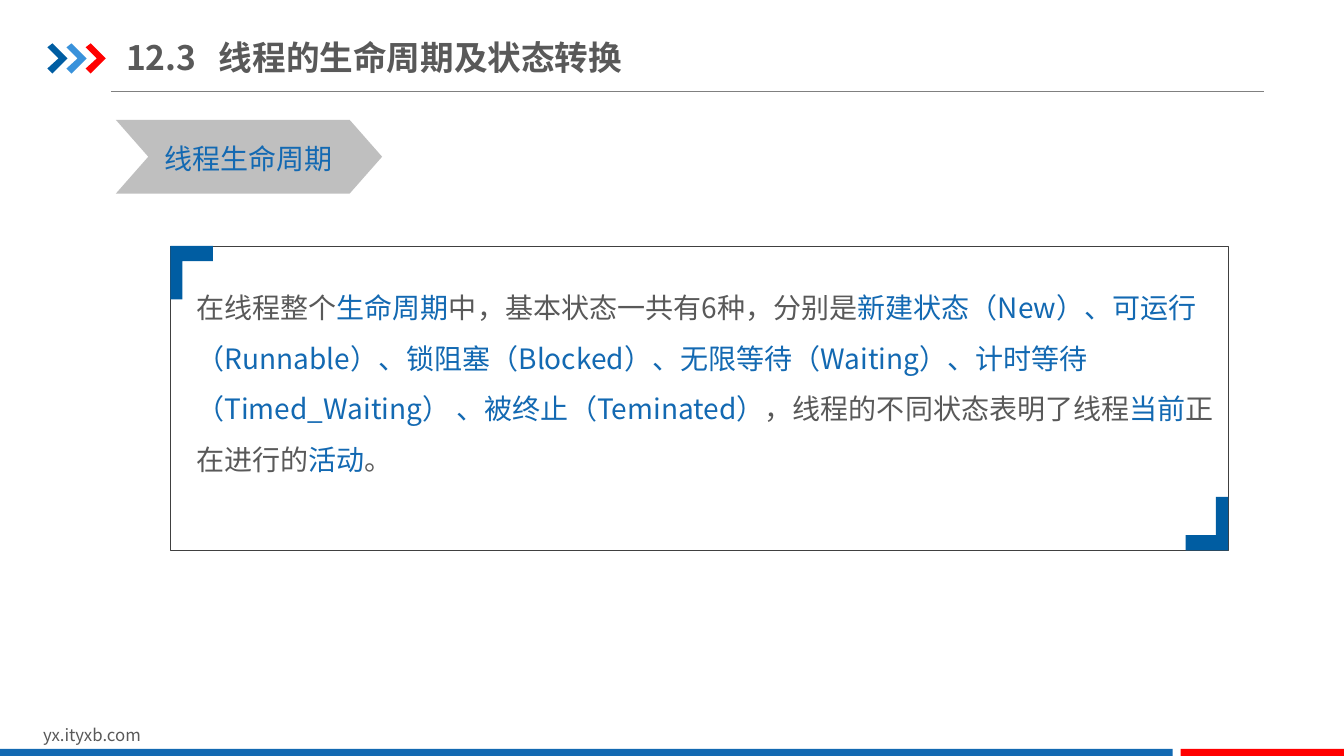
from dataclasses import dataclass

from lxml import etree
from pptx import Presentation
from pptx.dml.color import RGBColor
from pptx.enum.shapes import MSO_CONNECTOR, MSO_SHAPE
from pptx.enum.text import MSO_ANCHOR, MSO_AUTO_SIZE, PP_ALIGN
from pptx.oxml.ns import qn
from pptx.util import Inches, Pt

RECT = MSO_SHAPE.RECTANGLE
CHEVRON = MSO_SHAPE.CHEVRON
STRAIGHT = MSO_CONNECTOR.STRAIGHT
MIDDLE = MSO_ANCHOR.MIDDLE
LEFT = PP_ALIGN.LEFT
NO_AUTOFIT = MSO_AUTO_SIZE.NONE
TITLE_ONLY = 5


@dataclass(frozen=True)
class Theme:
    font: str = "Noto Sans CJK SC"
    text: str = "595959"
    accent: str = "1369B2"
    deep_blue: str = "005DA2"
    light_blue: str = "3992DB"
    red: str = "FF0000"
    banner: str = "BFBFBF"
    rule: str = "808080"
    frame: str = "404040"
    title_size: int = 24
    body_size: int = 20
    footer_size: int = 12


THEME = Theme()

BODY_RUNS = [
    ("在线程整个", THEME.text),
    ("生命周期", THEME.accent),
    ("中，基本状态一共有6种，分别是", THEME.text),
    ("新建状态（New）、可运行（Runnable）、锁阻塞（Blocked）、无限等待（Waiting）、"
     "计时等待（Timed_Waiting） 、被终止（Teminated）", THEME.accent),
    ("，线程的不同状态表明了线程", THEME.text),
    ("当前", THEME.accent),
    ("正在进行的", THEME.text),
    ("活动", THEME.accent),
    ("。", THEME.text),
]


def rgb(color):
    return RGBColor.from_string(color)


def add_run(paragraph, text, size, color, bold=False):
    run = paragraph.add_run()
    run.text = text
    font = run.font
    font.size = Pt(size)
    font.bold = bold
    font.color.rgb = rgb(color)
    font.name = THEME.font
    east_asian = etree.SubElement(run._r.get_or_add_rPr(), qn("a:ea"))
    east_asian.set("typeface", THEME.font)


def add_text(slide, box, runs, size, wrap=True, line_spacing=None):
    frame = slide.shapes.add_textbox(*map(Inches, box)).text_frame
    frame.word_wrap = wrap
    paragraph = frame.paragraphs[0]
    paragraph.line_spacing = line_spacing
    for text, color in runs:
        add_run(paragraph, text, size, color)


def set_title(slide, number, heading):
    """Place the title, with the heading on a tab stop after its number."""
    title = slide.shapes.title
    title.left, title.top = Inches(1.25), Inches(0.29)
    title.width, title.height = Inches(5.71), Inches(0.55)
    frame = title.text_frame
    frame.auto_size = NO_AUTOFIT
    frame.vertical_anchor = MIDDLE
    frame.margin_left = frame.margin_right = 0
    frame.margin_top = frame.margin_bottom = Inches(0.07)
    paragraph = frame.paragraphs[0]
    paragraph.alignment = LEFT
    tabs = etree.SubElement(paragraph._p.get_or_add_pPr(), qn("a:tabLst"))
    etree.SubElement(tabs, qn("a:tab"), pos=str(Inches(0.92)), algn="l")
    add_run(paragraph, f"{number}\t{heading}", THEME.title_size, THEME.text, bold=True)


def paint(shape, fill):
    shape.shadow.inherit = False
    shape.fill.solid()
    shape.fill.fore_color.rgb = rgb(fill)
    shape.line.fill.background()


def add_block(slide, kind, box, fill):
    block = slide.shapes.add_shape(kind, *map(Inches, box))
    paint(block, fill)
    return block


def add_frame(slide, box):
    frame = slide.shapes.add_shape(RECT, *map(Inches, box))
    frame.shadow.inherit = False
    frame.fill.background()
    frame.line.color.rgb = rgb(THEME.frame)
    frame.line.width = Pt(0.25)


def add_rule(slide, left, right, y):
    rule = slide.shapes.add_connector(
        STRAIGHT, Inches(left), Inches(y), Inches(right), Inches(y))
    rule.line.color.rgb = rgb(THEME.rule)
    rule.line.width = Pt(0.75)
    etree.SubElement(rule._element.spPr, qn("a:effectLst"))


def add_outline(slide, x, y, offsets, fill, direction=1):
    """Fill a polygon of offsets from (x, y); direction -1 turns it half round."""
    points = [(Inches(x + direction * dx), Inches(y + direction * dy))
              for dx, dy in offsets]
    builder = slide.shapes.build_freeform(*points[0])
    builder.add_line_segments(points[1:], close=True)
    paint(builder.convert_to_shape(), fill)


def add_title_arrows(slide):
    arrow = [(0, 0.04), (0.05, 0), (0.2, 0.15), (0.05, 0.3), (0, 0.25), (0.11, 0.15)]
    for index, color in enumerate((THEME.deep_blue, THEME.light_blue, THEME.red)):
        add_outline(slide, 0.47 + 0.19 * index, 0.43, arrow, color)


def add_framed_text(slide, left, top, width, height):
    add_text(slide, (1.85, 2.67, 10.33, 2.12), BODY_RUNS, THEME.body_size,
             line_spacing=1.5)
    add_frame(slide, (left, top, width, height))
    bracket = [(0, 0), (0.42, 0), (0.42, 0.15), (0.12, 0.15), (0.12, 0.53), (0, 0.53)]
    add_outline(slide, left, top, bracket, THEME.deep_blue)
    add_outline(slide, left + width, top + height, bracket, THEME.deep_blue, -1)


def main():
    deck = Presentation()
    deck.slide_width, deck.slide_height = Inches(13.33), Inches(7.5)
    slide = deck.slides.add_slide(deck.slide_layouts[TITLE_ONLY])

    add_rule(slide, 1.1, 12.54, 0.91)
    add_title_arrows(slide)
    set_title(slide, "12.3", "线程的生命周期及状态转换")

    add_text(slide, (0.33, 7.14, 3.18, 0.3), [("yx.ityxb.com", THEME.text)],
             THEME.footer_size)
    add_block(slide, RECT, (0, 7.43, 11.63, 0.07), THEME.accent)
    add_block(slide, RECT, (11.71, 7.43, 1.62, 0.07), THEME.red)

    banner = add_block(slide, CHEVRON, (1.15, 1.19, 2.64, 0.73), THEME.banner)
    banner.adjustments[0] = 0.44
    add_text(slide, (1.53, 1.35, 1.87, 0.44), [("线程生命周期", THEME.accent)],
             THEME.body_size, wrap=False)

    add_framed_text(slide, 1.69, 2.44, 10.49, 3.02)
    deck.save("out.pptx")


if __name__ == "__main__":
    main()
